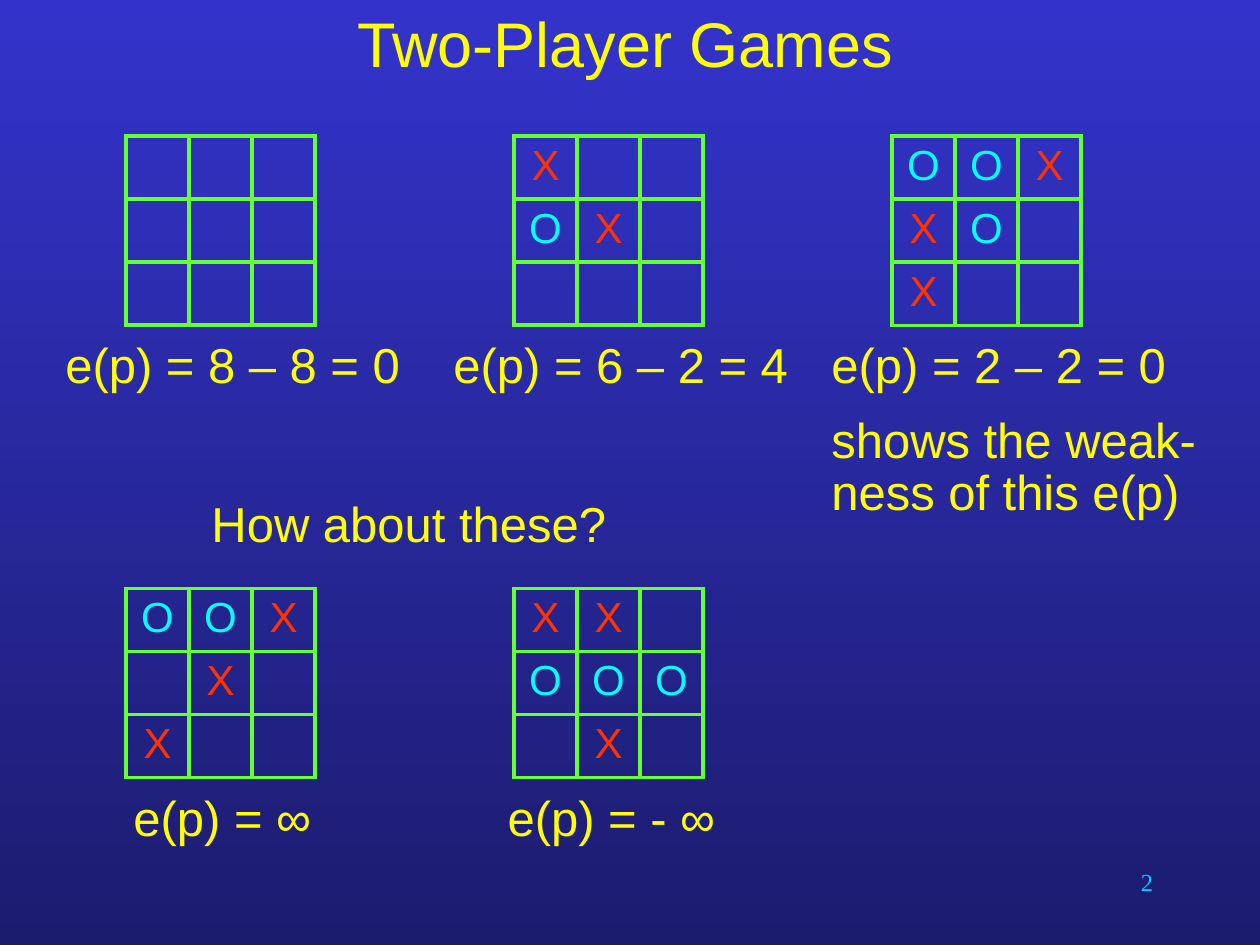
from lxml.etree import SubElement
from pptx import Presentation
from pptx.dml.color import RGBColor
from pptx.enum.text import MSO_ANCHOR, PP_ALIGN
from pptx.oxml.ns import qn
from pptx.util import Inches, Pt

W, H = 10, 7.5
CELL = 0.5
CAPTION_DX, CAPTION_DY = -0.58, 1.58
CAPTION_W, CAPTION_H = 3.08, 0.58
COLS, ROWS = (1, 4.08, 7.08), (1.08, 4.67)
YELLOW, GREEN = "FFFF00", "66FF33"
MARKS = {"X": "FF3300", "O": "00FFFF"}

BOARDS = [
    (0, 0, ("   ", "   ", "   "), "e(p) = 8 – 8 = 0", 0),
    (1, 0, ("X  ", "OX ", "   "), "e(p) = 6 – 2 = 4", 0),
    (2, 0, ("OOX", "XO ", "X  "), "e(p) = 2 – 2 = 0", 0),
    (0, 1, ("OOX", " X ", "X  "), "e(p) = ∞", 0.54),
    (1, 1, ("XX ", "OOO", " X "), "e(p) = - ∞", 0.43),
]
REMARKS = [
    ("shows the weak-ness of this e(p)", (6.5, 3.25, 3.17, 1)),
    ("How about these?", (1.58, 3.92, 3.75, 0.58)),
]


def rgb(color):
    return RGBColor.from_string(color)


def add_run(p, text, size, color, font="Arial"):
    r = p.add_run()
    r.text = text
    r.font.size, r.font.name = Pt(size), font
    r.font.color.rgb = rgb(color)


def add_text(slide, text, box, size=28, color=YELLOW, font="Arial",
             align=PP_ALIGN.LEFT, anchor=MSO_ANCHOR.TOP, spacing=0.9, indent=0):
    tf = slide.shapes.add_textbox(*map(Inches, box)).text_frame
    tf.word_wrap = True
    tf.vertical_anchor = anchor
    p = tf.paragraphs[0]
    p.alignment, p.line_spacing = align, spacing
    if indent:
        p._p.get_or_add_pPr().set("marL", str(Inches(indent)))
    add_run(p, text, size, color, font)


def add_borders(cell):
    tcPr = cell._tc.get_or_add_tcPr()
    for i, side in enumerate(("lnL", "lnR", "lnT", "lnB")):
        ln = SubElement(tcPr, qn(f"a:{side}"), w=str(Pt(2.25)))
        fill = SubElement(ln, qn("a:solidFill"))
        SubElement(fill, qn("a:srgbClr"), val=GREEN)
        tcPr.remove(ln)
        tcPr.insert(i, ln)


def add_board(slide, left, top, rows):
    n = len(rows)
    size = Inches(CELL * n)
    table = slide.shapes.add_table(n, n, Inches(left), Inches(top), size, size).table
    table.first_row = table.horz_banding = False
    for i, row in enumerate(rows):
        table.rows[i].height = table.columns[i].width = Inches(CELL)
        for j, mark in enumerate(row):
            cell = table.cell(i, j)
            cell.fill.background()
            add_borders(cell)
            if mark in MARKS:
                p = cell.text_frame.paragraphs[0]
                p.alignment = PP_ALIGN.CENTER
                add_run(p, mark, 24, MARKS[mark])


def main():
    prs = Presentation()
    prs.slide_width, prs.slide_height = Inches(W), Inches(H)
    slide = prs.slides.add_slide(prs.slide_layouts[6])
    bg = slide.background.fill
    bg.gradient()
    bg.gradient_angle = 270
    for stop, pos, color in zip(bg.gradient_stops, (0, 1), ("3333CC", "1C1C6F")):
        stop.position, stop.color.rgb = pos, rgb(color)

    add_text(slide, "Two-Player Games", (0.25, 0, 9.42, 0.67), size=36,
             align=PP_ALIGN.CENTER, anchor=MSO_ANCHOR.MIDDLE, spacing=1.0)
    for col, row, rows, caption, indent in BOARDS:
        left, top = COLS[col], ROWS[row]
        add_board(slide, left, top, rows)
        add_text(slide, caption, (left + CAPTION_DX, top + CAPTION_DY, CAPTION_W, CAPTION_H),
                 indent=indent)
    for text, box in REMARKS:
        add_text(slide, text, box)
    add_text(slide, "2", (7.17, 6.83, 2.08, 0.5), size=14, color="00CCFF",
             font="Times New Roman", align=PP_ALIGN.RIGHT, spacing=1.0)
    prs.save("out.pptx")


if __name__ == "__main__":
    main()
